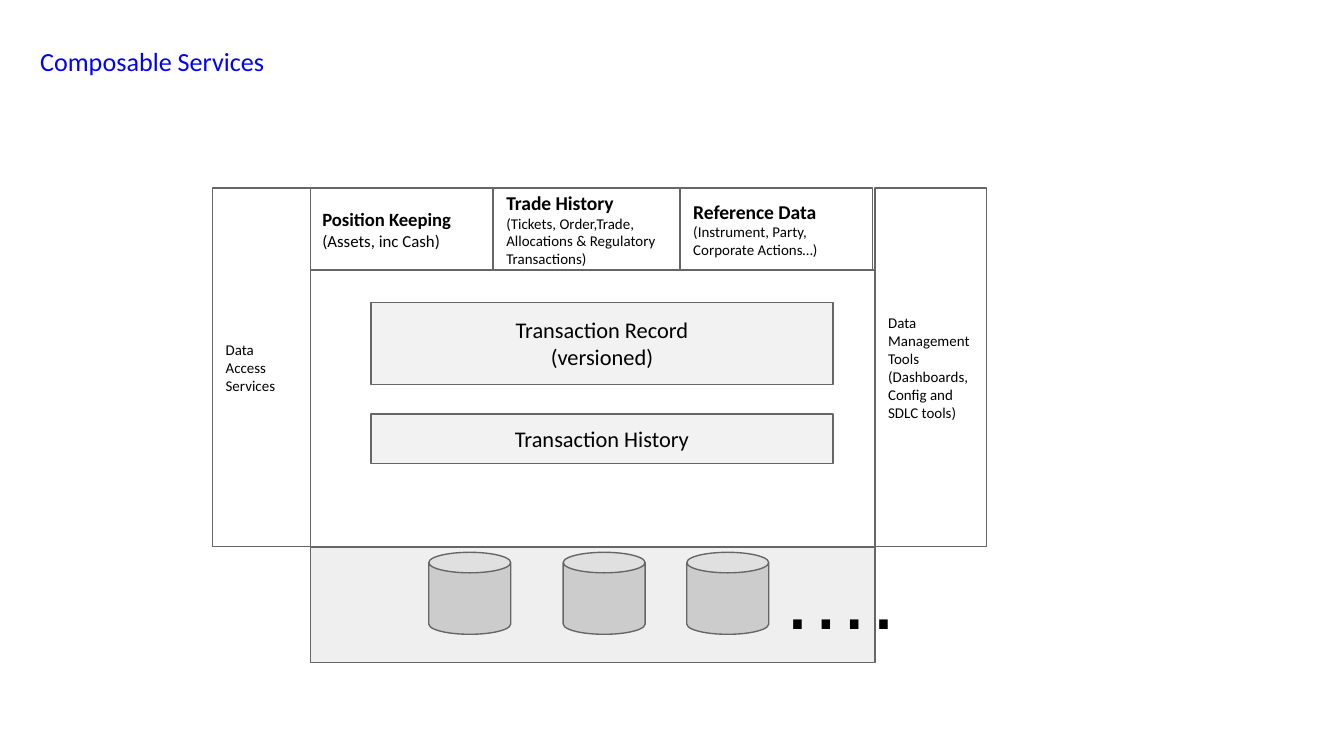
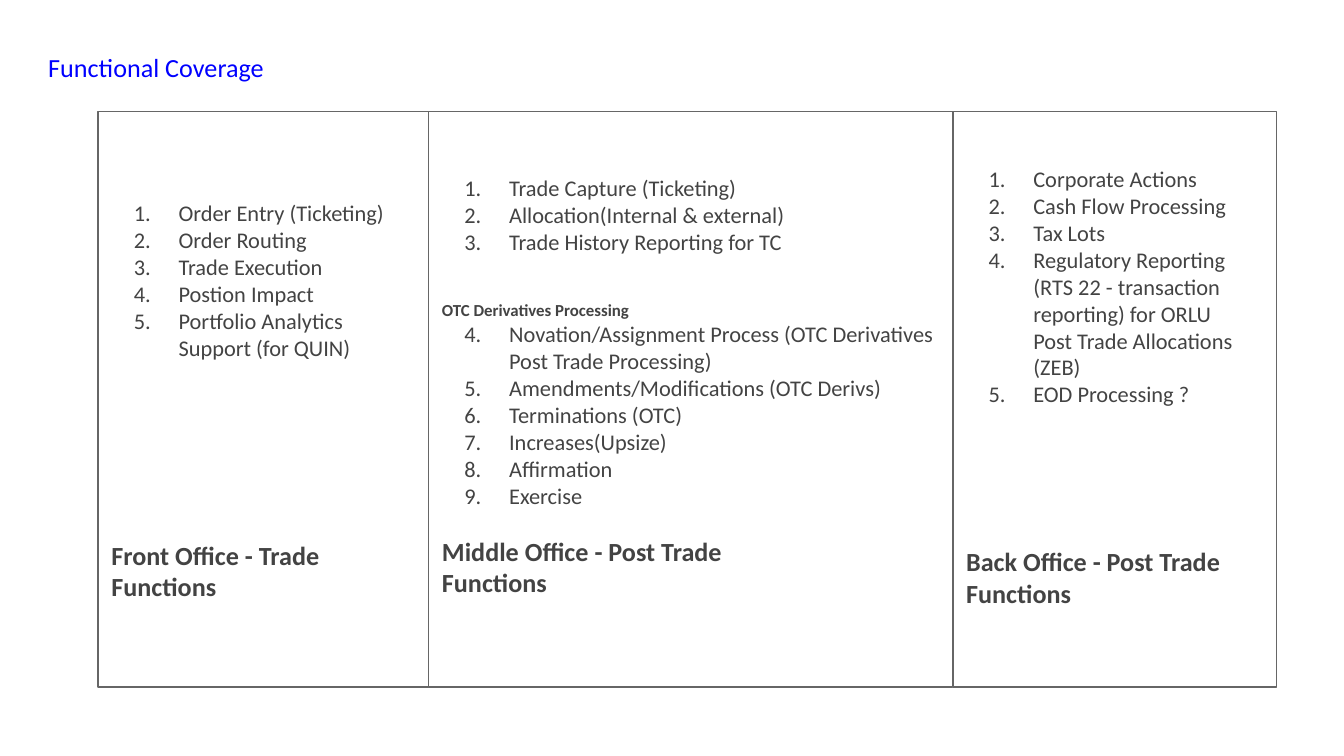
"""Build two slides on trade services and functional coverage."""
import pptx
import pptx.dml.color
import pptx.enum.shapes
import pptx.enum.text
import pptx.util
from lxml import etree

Pt = pptx.util.Pt
SHAPE = pptx.enum.shapes.MSO_SHAPE
ALIGN = pptx.enum.text.PP_ALIGN
ANCHOR = pptx.enum.text.MSO_ANCHOR

HUES = {"title": "0000FF", "line": "666666", "ink": "000000", "soft": "434343",
        "white": "FFFFFF", "store": "EFEFEF", "can": "CCCCCC", "record": "F2F2F2"}
FONT = "Calibri"
INSET = 7.2

TOP, SIDE = 100.8, 192.2
STORE = (166.3, 290.2, 302.4, 64.8)
BODY = (166.3, 144.7, 302.4, 148.3)
CANS = [229.7, 301.7, 367.9]
DOTS = (411.8, 282.2, 94.3, 71.3)
HEADS = [
    (165.6, 99.4, "Position Keeping", 10, "(Assets, inc Cash)", 9),
    (264.2, 103, "Trade History", 10.5,
     "(Tickets, Order,Trade, Allocations & Regulatory Transactions)", 8),
    (364.3, 103, "Reference Data", 10.5,
     "(Instrument, Party, Corporate Actions…)", 8),
]
SIDES = [
    (113.8, 52.6, "Data\nAccess\nServices"),
    (468.7, 59.8, "Data\nManagement\nTools\n(Dashboards, Config and SDLC tools)"),
]
RECORDS = [(162, 43.9, "Transaction Record\n(versioned)"),
           (221.8, 26.6, "Transaction History")]

ROW = (59.8, 308.2)
EDGES = [52.6, 229.7, 510.5, 684]
OFFICES = [
    {"inset": 47, "gap": 95.5,
     "title": ["Front Office - Trade", "Functions"],
     "lists": [("", ["Order Entry (Ticketing)", "Order Routing", "Trade Execution",
                     "Postion Impact", "Portfolio Analytics Support (for QUIN)"])]},
    {"inset": 33.6, "gap": 14.2,
     "title": ["Middle Office - Post Trade", "Functions"],
     "lists": [("", ["Trade Capture (Ticketing)", "Allocation(Internal & external)",
                     "Trade History Reporting for TC"]),
               ("OTC Derivatives Processing",
                ["Novation/Assignment Process (OTC Derivatives Post Trade Processing)",
                 "Amendments/Modifications (OTC Derivs)", "Terminations (OTC)",
                 "Increases(Upsize)", "Affirmation", "Exercise"])]},
    {"inset": 28.8, "gap": 74.2,
     "title": ["Back Office - Post Trade Functions"],
     "lists": [("", ["Corporate Actions", "Cash Flow Processing", "Tax Lots",
                     "Regulatory Reporting\n(RTS 22 - transaction reporting) for ORLU\n"
                     "Post Trade Allocations (ZEB)", "EOD Processing ?"])]},
]


def hue(name):
    return pptx.dml.color.RGBColor.from_string(HUES[name])


def frame(item, inset=INSET, anchor=ANCHOR.TOP):
    text = item.text_frame
    text.word_wrap = True
    text.margin_left = text.margin_right = text.margin_bottom = Pt(INSET)
    text.margin_top = Pt(inset)
    text.vertical_anchor = anchor
    return text


def write(text, words, size, tint="ink", bold=False, align=ALIGN.LEFT, gap=0, font=FONT):
    para = text.paragraphs[0]
    if para.runs:
        para = text.add_paragraph()
    para.text = words
    para.alignment = align
    para.space_before = Pt(gap)
    para.font.name, para.font.size, para.font.bold = font, Pt(size), bold
    para.font.color.rgb = hue(tint)
    return para


def number(para, start):
    props = para._p.get_or_add_pPr()
    props.set("marL", str(Pt(36)))
    props.set("indent", str(-Pt(24)))
    mark = etree.Element(pptx.oxml.ns.qn("a:buAutoNum"),
                         type="arabicPeriod", startAt=str(start))
    props.find(pptx.oxml.ns.qn("a:defRPr")).addprevious(mark)


def block(slide, area, fill="white", kind=SHAPE.RECTANGLE):
    shape = slide.shapes.add_shape(kind, *map(Pt, area))
    shape.shadow.inherit = False
    shape.fill.solid()
    shape.fill.fore_color.rgb = hue(fill)
    shape.line.color.rgb = hue("line")
    shape.line.width = Pt(0.75)
    return shape


def label(slide, area, words, size, **style):
    write(frame(slide.shapes.add_textbox(*map(Pt, area))), words, size, **style)


def start(deck, title, area):
    slide = deck.slides.add_slide(deck.slide_layouts[6])
    label(slide, area, title, 14, tint="title")
    return slide


def services(deck):
    slide = start(deck, "Composable Services", (14.4, 17.3, 694.8, 35.3))
    block(slide, STORE, "store")
    block(slide, BODY)
    for left in CANS:
        block(slide, (left, 295.9, 43.9, 43.9), "can", SHAPE.CAN)
    label(slide, DOTS, "….", 48, font="Arial")
    for left, width, name, size, note, small in HEADS:
        text = frame(block(slide, (left, TOP, width, 43.9)), anchor=ANCHOR.MIDDLE)
        write(text, name, size, bold=True)
        write(text, note, small)
    for left, width, words in SIDES:
        text = frame(block(slide, (left, TOP, width, SIDE)), anchor=ANCHOR.MIDDLE)
        write(text, words, 8)
    for top, height, words in RECORDS:
        shape = block(slide, (198.7, top, 247.7, height), "record")
        write(frame(shape, anchor=ANCHOR.MIDDLE), words, 12, align=ALIGN.CENTER)


def coverage(deck):
    slide = start(deck, "Functional Coverage", (18.7, 20.2, 666, 28.8))
    top, height = ROW
    for left, right, office in zip(EDGES, EDGES[1:], OFFICES):
        shape = block(slide, (left, top, right - left, height))
        text = frame(shape, office["inset"])
        first = 1
        for head, items in office["lists"]:
            if head:
                write(text, head, 9, "soft", True, gap=24.2)
            for item in items:
                number(write(text, item, 12, "soft"), first)
            first += len(items)
        for row, words in enumerate(office["title"]):
            write(text, words, 14, "soft", True, gap=0 if row else office["gap"])


def main():
    deck = pptx.Presentation()
    deck.slide_width, deck.slide_height = Pt(720), Pt(405)
    services(deck)
    coverage(deck)
    deck.save("out.pptx")


if __name__ == "__main__":
    main()
